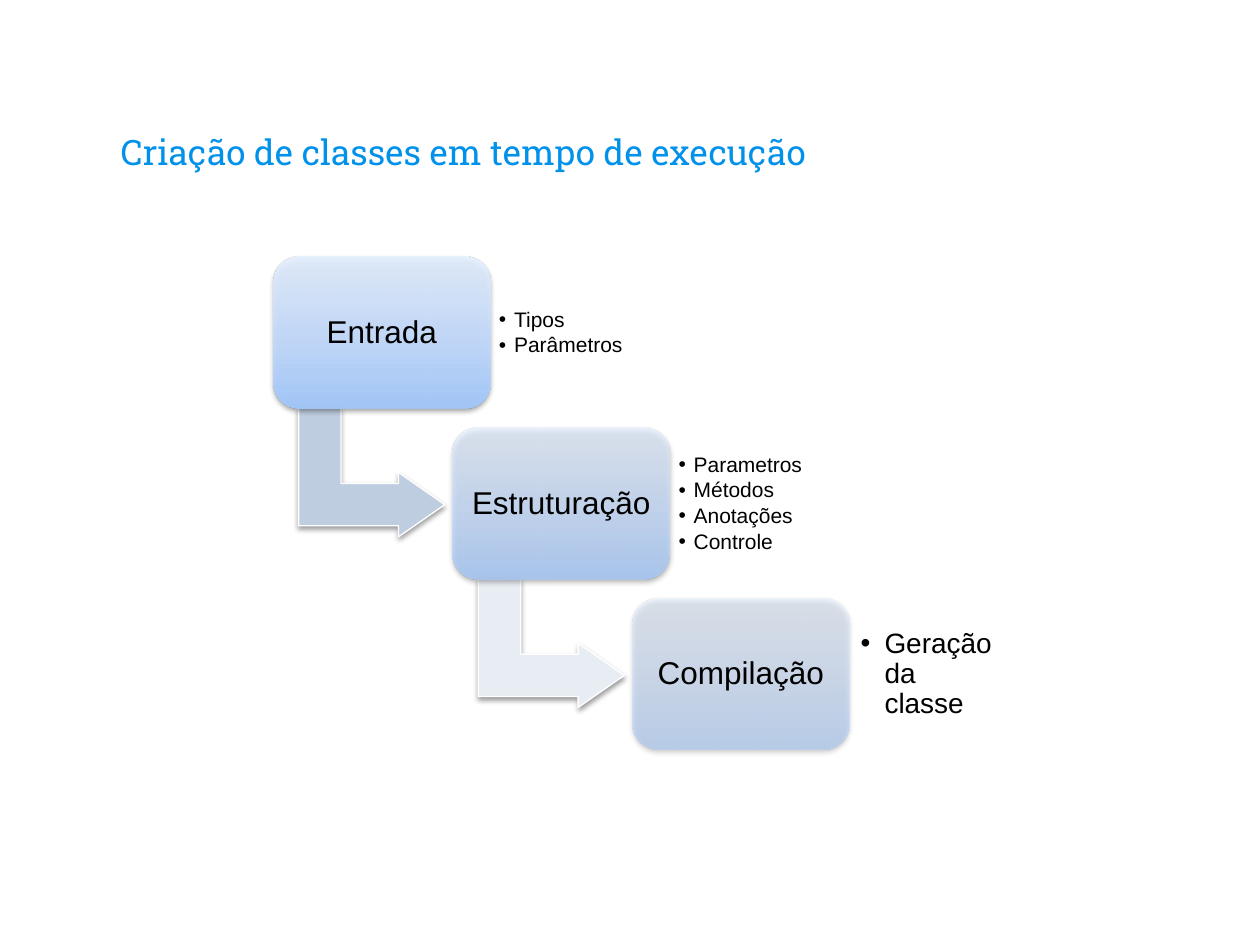
from lxml import etree
from pptx import Presentation
from pptx.dml.color import RGBColor
from pptx.enum.shapes import MSO_SHAPE
from pptx.enum.text import MSO_ANCHOR, PP_ALIGN
from pptx.oxml.ns import qn
from pptx.util import Inches, Pt

ROUND, ARROW = MSO_SHAPE.ROUNDED_RECTANGLE, MSO_SHAPE.BENT_UP_ARROW
MIDDLE, BOTTOM = MSO_ANCHOR.MIDDLE, MSO_ANCHOR.BOTTOM
LEFT, CENTER = PP_ALIGN.LEFT, PP_ALIGN.CENTER


def color(code):
    return RGBColor.from_string(code)


def add(parent, tag, **attrs):
    """Append an XML child with the given attributes."""
    node = etree.SubElement(parent, qn(tag))
    for name, value in attrs.items():
        node.set(name, str(value))
    return node


def tint(parent, code, alpha):
    """Append a colour with its opacity in percent."""
    add(add(parent, "a:srgbClr", val=code), "a:alpha", val=alpha * 1000)


class Deck:
    font = "Arial"
    ink = "000000"
    stops = ((0, "A0C8FF"), (35, "BCD7FF"), (100, "E5F0FF"))

    def __init__(self, slide):
        self.slide = slide

    def shape(self, kind, at, *adjust):
        """Add a preset shape with a soft shadow below it."""
        item = self.slide.shapes.add_shape(kind, *map(Inches, at))
        for i, value in enumerate(adjust):
            item.adjustments[i] = value
        item.shadow.inherit = False
        effect = item._element.spPr.find(qn("a:effectLst"))
        shadow = add(effect, "a:outerShdw", blurRad=Pt(3.1), dist=Pt(1.6),
                     dir=90 * 60000, rotWithShape=0)
        tint(shadow, self.ink, 38)
        return item

    def box(self, at, alpha):
        item = self.shape(ROUND, at, 0.17)
        item.line.fill.background()
        item.fill.gradient()
        item.fill.gradient_angle = 90
        stops = item._element.spPr.find(".//" + qn("a:gsLst"))
        for old in list(stops):
            stops.remove(old)
        for pos, code in self.stops:
            tint(add(stops, "a:gs", pos=pos * 1000), code, alpha)

    def arrow(self, at, code):
        item = self.shape(ARROW, at, 0.33, 0.25, 0.36)
        item.rotation = 90
        item.fill.solid()
        item.fill.fore_color.rgb = color(code)
        item.line.color.rgb = color("FFFFFF")
        item.line.width = Pt(0.75)

    def text(self, at, lines, size, inset=0.07, anchor=MIDDLE, align=LEFT,
             font=font, ink=ink, spacing=0.9, after=0, indent=0):
        """Add a text box; an indent gives its lines bullets."""
        frame = self.slide.shapes.add_textbox(*map(Inches, at)).text_frame
        style = {"word_wrap": True, "vertical_anchor": anchor}
        for side in ("left", "top", "right", "bottom"):
            style["margin_" + side] = Inches(inset)
        for name, value in style.items():
            setattr(frame, name, value)
        frame.text = "\n".join(lines)
        for par in frame.paragraphs:
            form = {"alignment": align, "line_spacing": spacing,
                    "space_after": Pt(size * after)}
            for name, value in form.items():
                setattr(par, name, value)
            face = par.runs[0].font
            for name, value in {"name": font, "size": Pt(size)}.items():
                setattr(face, name, value)
            face.color.rgb = color(ink)
            if indent:
                props = par._p.get_or_add_pPr()
                props.set("marL", str(Inches(indent)))
                props.set("indent", str(-Inches(indent)))
                add(props, "a:buFont", typeface=font)
                add(props, "a:buChar", char="•")


# label, bullets, bullet size, inset, indent, box opacity, arrow colour
STEPS = (
    ("Entrada", ("Tipos", "Parâmetros"), 12, 0.07, 0.12, 90, "BFCDE0"),
    ("Estruturação", ("Parametros", "Métodos", "Anotações", "Controle"),
     12, 0.07, 0.12, 70, "E8EDF3"),
    ("Compilação", ("Geração da classe",), 16, 0.09, 0.19, 50, None),
)


def main():
    prs = Presentation()
    prs.slide_width, prs.slide_height = Inches(10), Inches(7.5)
    deck = Deck(prs.slides.add_slide(prs.slide_layouts[6]))
    deck.text((0.86, 0.45, 8.28, 1.02), ["Criação de classes em tempo de execução"],
              20, inset=0.1, anchor=BOTTOM, font="Roboto Slab", ink="0091EA",
              spacing=1)
    for i, (label, items, size, inset, indent, alpha, code) in enumerate(STEPS):
        x, y = 2.17 + i * 2.85 / 2, 2.04 + i * 2.71 / 2
        if code:
            deck.arrow((x + 0.27, y + 1.13, 1.02, 1.16), code)
        deck.box((x, y, 1.72, 1.2), alpha)
        deck.text((x + 0.06, y + 0.06, 1.6, 1.09), [label], 18,
                  align=CENTER, after=0.35)
        deck.text((x + 1.72, y + 0.12, 1.25, 0.97), items, size, inset=inset,
                  after=0.15, indent=indent)
    prs.save("out.pptx")


if __name__ == "__main__":
    main()
